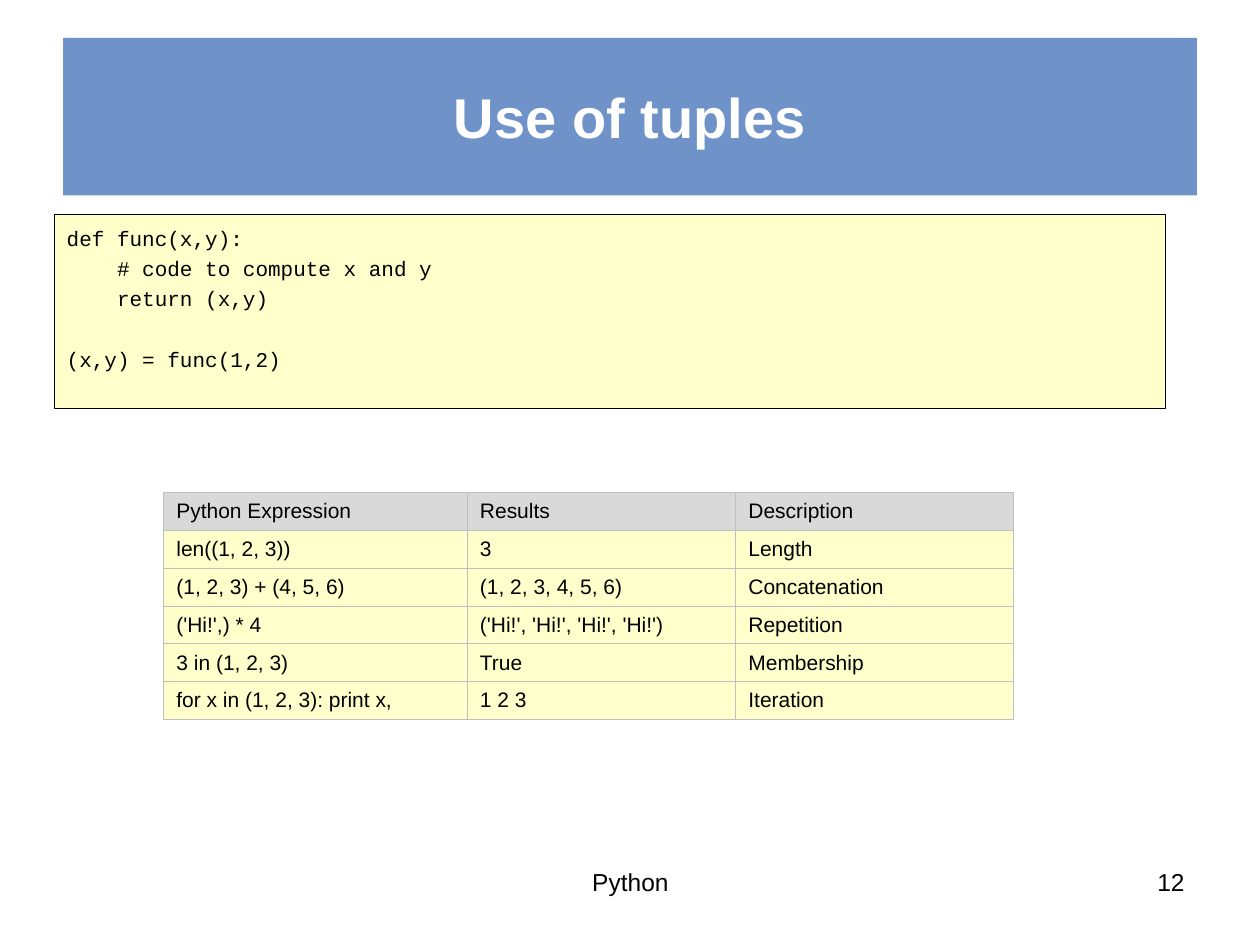
from dataclasses import dataclass

import pptx
import pptx.dml.color
import pptx.enum.shapes
import pptx.enum.text
import pptx.oxml
import pptx.oxml.ns
import pptx.util

Pt = pptx.util.Pt
RGB = pptx.dml.color.RGBColor.from_string
ALIGN = pptx.enum.text.PP_ALIGN
ANCHOR = pptx.enum.text.MSO_ANCHOR


@dataclass(frozen=True)
class Theme:
    banner: str = "4775B9"
    banner_alpha: int = 78
    white: str = "FFFFFF"
    black: str = "000000"
    cream: str = "FFFFCC"
    header: str = "D9D9D9"
    border: str = "BFBFBF"
    sans: str = "Arial"
    mono: str = "Courier New"
    title_size: float = 32
    body_size: float = 12
    footer_size: float = 14


@dataclass(frozen=True)
class Box:
    left: float
    top: float
    width: float
    height: float

    def lengths(self) -> tuple:
        return Pt(self.left), Pt(self.top), Pt(self.width), Pt(self.height)


@dataclass(frozen=True)
class FooterItem:
    text: str
    box: Box
    align: ALIGN


THEME = Theme()
TITLE_BOX = Box(36, 21.6, 648, 90)
CODE_BOX = Box(31, 122.4, 635, 110.9)
TABLE_BOX = Box(93.6, 281.5, 485.3, 129.6)
COLUMN_WIDTHS = (173.5, 153.4, 158.4)

FUNCTION_CODE = """def func(x,y):
    # code to compute x and y
    return (x,y)"""
CALL_CODE = "(x,y) = func(1,2)"
CODE_GAP = 17.25

ROWS = (
    ("Python Expression", "Results", "Description"),
    ("len((1, 2, 3))", "3", "Length"),
    ("(1, 2, 3) + (4, 5, 6)", "(1, 2, 3, 4, 5, 6)", "Concatenation"),
    ("('Hi!',) * 4", "('Hi!', 'Hi!', 'Hi!', 'Hi!')", "Repetition"),
    ("3 in (1, 2, 3)", "True", "Membership"),
    ("for x in (1, 2, 3): print x,", "1 2 3", "Iteration"),
)

FOOTER = (
    FooterItem("12", Box(516.2, 491.8, 167.8, 37.4), ALIGN.RIGHT),
    FooterItem("Python", Box(246.2, 491.8, 228.2, 37.4), ALIGN.CENTER),
)


def write(tf, text: str, *, size: float = THEME.body_size, font: str = THEME.sans,
          color: str = THEME.black, bold: bool = False, align: ALIGN = ALIGN.LEFT,
          line_spacing: float = 1.0, space_before: float = 0) -> None:
    """Write one paragraph per line, adding to any text already there."""
    for i, line in enumerate(text.split("\n")):
        p = tf.add_paragraph() if tf.text else tf.paragraphs[0]
        p.alignment = align
        p.line_spacing = line_spacing
        p.space_before = Pt(space_before if i == 0 else 0)
        r = p.add_run()
        r.text = line
        r.font.size = Pt(size)
        r.font.name = font
        r.font.bold = bold
        r.font.color.rgb = RGB(color)


def fill_solid(obj, color: str) -> None:
    obj.fill.solid()
    obj.fill.fore_color.rgb = RGB(color)


def add_title(s, text: str) -> None:
    sp = s.shapes.title
    sp.left, sp.top, sp.width, sp.height = TITLE_BOX.lengths()
    fill_solid(sp, THEME.banner)
    # Banner transparency
    clr = sp.fill._xPr.find(".//" + pptx.oxml.ns.qn("a:srgbClr"))
    clr.append(pptx.oxml.parse_xml(
        f'<a:alpha {pptx.oxml.ns.nsdecls("a")} val="{THEME.banner_alpha * 1000}"/>'))
    sp.text_frame.vertical_anchor = ANCHOR.MIDDLE
    write(sp.text_frame, text, size=THEME.title_size, color=THEME.white,
          bold=True, align=ALIGN.CENTER)


def add_code(s) -> None:
    sp = s.shapes.add_shape(pptx.enum.shapes.MSO_SHAPE.RECTANGLE, *CODE_BOX.lengths())
    sp.shadow.inherit = False
    fill_solid(sp, THEME.cream)
    sp.line.color.rgb = RGB(THEME.black)
    sp.line.width = Pt(0.75)
    tf = sp.text_frame
    tf.word_wrap = True
    tf.vertical_anchor = ANCHOR.TOP
    write(tf, FUNCTION_CODE, font=THEME.mono, line_spacing=1.2)
    write(tf, CALL_CODE, font=THEME.mono, line_spacing=1.2, space_before=CODE_GAP)


def set_borders(cell, color: str, width: float) -> None:
    tc_pr = cell._tc.get_or_add_tcPr()
    for i, side in enumerate(("lnL", "lnR", "lnT", "lnB")):
        tc_pr.insert(i, pptx.oxml.parse_xml(
            f'<a:{side} {pptx.oxml.ns.nsdecls("a")} w="{Pt(width)}"><a:solidFill>'
            f'<a:srgbClr val="{color}"/></a:solidFill></a:{side}>'))


def add_table(s) -> None:
    table = s.shapes.add_table(len(ROWS), len(COLUMN_WIDTHS), *TABLE_BOX.lengths()).table
    table.first_row = table.horz_banding = False
    for column, width in zip(table.columns, COLUMN_WIDTHS):
        column.width = Pt(width)
    for i, texts in enumerate(ROWS):
        table.rows[i].height = Pt(TABLE_BOX.height / len(ROWS))
        for j, text in enumerate(texts):
            cell = table.cell(i, j)
            cell.vertical_anchor = ANCHOR.MIDDLE
            fill_solid(cell, THEME.cream if i else THEME.header)
            set_borders(cell, THEME.border, 0.45)
            write(cell.text_frame, text)


def add_footer_item(s, item: FooterItem) -> None:
    tf = s.shapes.add_textbox(*item.box.lengths()).text_frame
    tf.word_wrap = True
    write(tf, item.text, size=THEME.footer_size, align=item.align)


def main() -> None:
    prs = pptx.Presentation()
    prs.slide_width, prs.slide_height = Pt(720), Pt(540)
    s = prs.slides.add_slide(prs.slide_layouts[5])  # Title Only
    add_title(s, "Use of tuples")
    add_table(s)
    add_code(s)
    for item in FOOTER:
        add_footer_item(s, item)
    prs.save("out.pptx")


if __name__ == "__main__":
    main()
